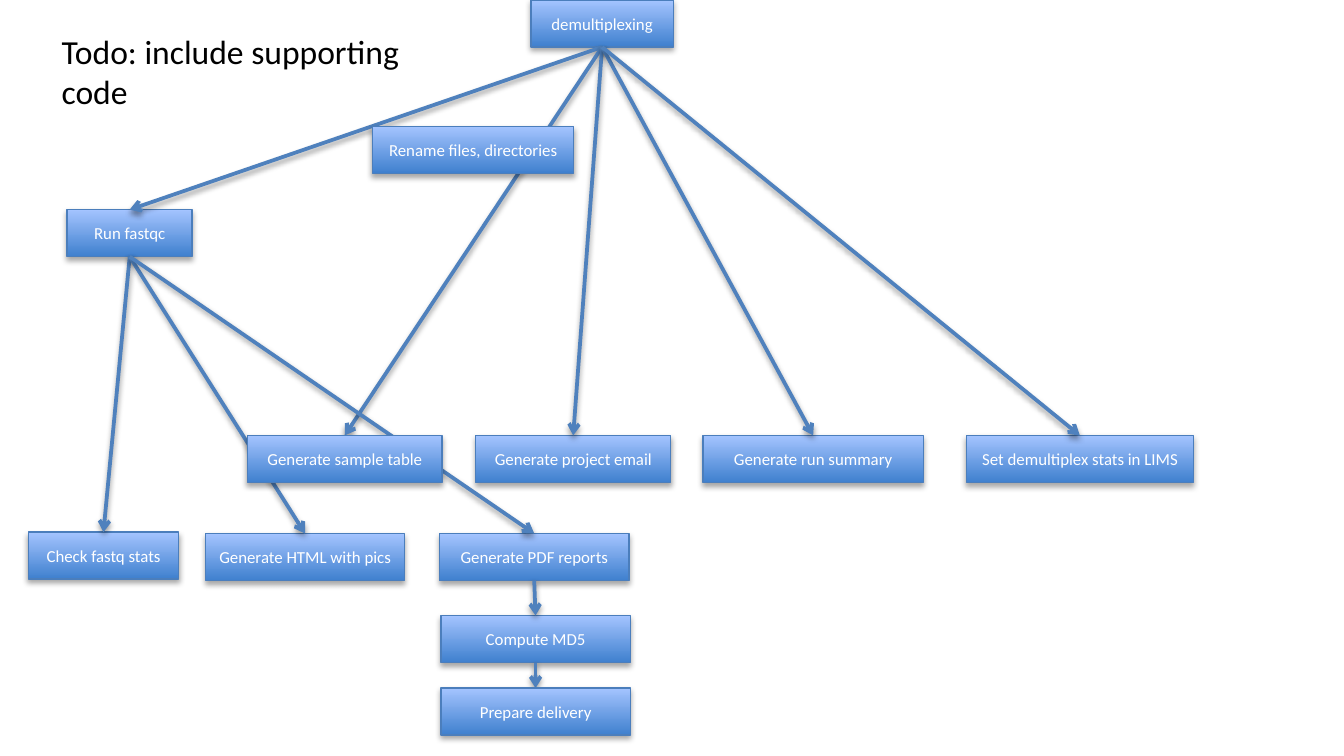
from lxml.etree import SubElement
from pptx import Presentation
from pptx.dml.color import RGBColor
from pptx.enum.shapes import MSO_CONNECTOR, MSO_SHAPE
from pptx.enum.text import MSO_ANCHOR, PP_ALIGN
from pptx.oxml.ns import qn
from pptx.util import Inches, Pt

WHITE = RGBColor(0xFF, 0xFF, 0xFF)
BLACK = RGBColor(0x00, 0x00, 0x00)
BOX_DARK = RGBColor(0x3F, 0x80, 0xCE)
BOX_LIGHT = RGBColor(0xA4, 0xC4, 0xFF)
BOX_LINE = RGBColor(0x4B, 0x7E, 0xBC)
ARROW = RGBColor(0x4F, 0x81, 0xBD)
TOP_SITE, BOTTOM_SITE = 0, 2


class Flowchart:
    font_name = "Calibri"
    box_height = 0.35

    def __init__(self, slide):
        self.slide = slide

    def style_text(self, paragraph, size, color):
        paragraph.font.name = self.font_name
        paragraph.font.size = Pt(size)
        paragraph.font.color.rgb = color

    def add_shadow(self, effects, opacity, distance):
        shadow = SubElement(effects, qn("a:outerShdw"), blurRad=str(Pt(3.1)),
                            dist=str(Pt(distance)), dir="5400000", rotWithShape="0")
        color = SubElement(shadow, qn("a:srgbClr"), val=str(BLACK))
        SubElement(color, qn("a:alpha"), val=str(opacity * 1000))

    def box(self, text, left, top, width):
        shape = self.slide.shapes.add_shape(
            MSO_SHAPE.RECTANGLE, Inches(left), Inches(top),
            Inches(width), Inches(self.box_height))
        shape.fill.gradient()
        shape.fill.gradient_angle = 90
        for stop, position, color in zip(shape.fill.gradient_stops, (0, 1),
                                         (BOX_DARK, BOX_LIGHT)):
            stop.position = position
            stop.color.rgb = color
        shape.line.color.rgb = BOX_LINE
        shape.line.width = Pt(0.75)
        shape.shadow.inherit = False
        self.add_shadow(shape.element.spPr.find(qn("a:effectLst")), 35, 1.8)

        frame = shape.text_frame
        frame.word_wrap = True
        frame.vertical_anchor = MSO_ANCHOR.MIDDLE
        frame.margin_left = frame.margin_right = Inches(0.05)
        frame.text = text
        paragraph = frame.paragraphs[0]
        paragraph.alignment = PP_ALIGN.CENTER
        self.style_text(paragraph, 9, WHITE)
        return shape

    def arrow(self, source, target):
        connector = self.slide.shapes.add_connector(MSO_CONNECTOR.STRAIGHT, 0, 0, 0, 0)
        connector.begin_connect(source, BOTTOM_SITE)
        connector.end_connect(target, TOP_SITE)
        connector.line.color.rgb = ARROW
        connector.line.width = Pt(2)
        properties = connector.element.spPr
        SubElement(properties.find(qn("a:ln")), qn("a:tailEnd"), type="arrow")
        self.add_shadow(SubElement(properties, qn("a:effectLst")), 38, 1.6)

    def bring_to_front(self, shape):
        shape.element.getparent().append(shape.element)

    def note(self, text, left, top, width, height):
        shape = self.slide.shapes.add_textbox(
            Inches(left), Inches(top), Inches(width), Inches(height))
        shape.text_frame.word_wrap = True
        shape.text_frame.text = text
        self.style_text(shape.text_frame.paragraphs[0], 18, BLACK)


# Widescreen slide, 16:9
presentation = Presentation()
presentation.slide_width = Inches(10)
presentation.slide_height = presentation.slide_width * 9 // 16
chart = Flowchart(presentation.slides.add_slide(presentation.slide_layouts[6]))

# Steps: text, left, top, width
steps = {
    "html": ("Generate HTML with pics", 1.53, 3.97, 1.48),
    "fastqc": ("Run fastqc", 0.5, 1.56, 0.93),
    "demultiplexing": ("demultiplexing", 3.95, 0, 1.06),
    "lims": ("Set demultiplex stats in LIMS", 7.19, 3.24, 1.69),
    "check": ("Check fastq stats", 0.21, 3.96, 1.12),
    "summary": ("Generate run summary", 5.23, 3.24, 1.64),
    "email": ("Generate project email", 3.54, 3.24, 1.45),
    "pdf": ("Generate PDF reports", 3.27, 3.97, 1.41),
    "md5": ("Compute MD5", 3.28, 4.58, 1.41),
    "delivery": ("Prepare delivery", 3.28, 5.12, 1.41),
    "sample": ("Generate sample table", 1.84, 3.24, 1.45),
    "rename": ("Rename files, directories", 2.77, 0.94, 1.5),
}
boxes = {name: chart.box(*step) for name, step in steps.items()}

# Arrows from each step to those that follow it
followers = {
    "demultiplexing": ("fastqc", "sample", "email", "summary", "lims"),
    "fastqc": ("check", "html", "pdf"),
    "pdf": ("md5",),
    "md5": ("delivery",),
}
for source, targets in followers.items():
    for target in targets:
        chart.arrow(boxes[source], boxes[target])

# Boxes that cover the arrows
for name in ("delivery", "sample", "rename"):
    chart.bring_to_front(boxes[name])

# Note
chart.note("Todo: include supporting code", 0.36, 0.18, 2.78, 0.71)

presentation.save("out.pptx")
